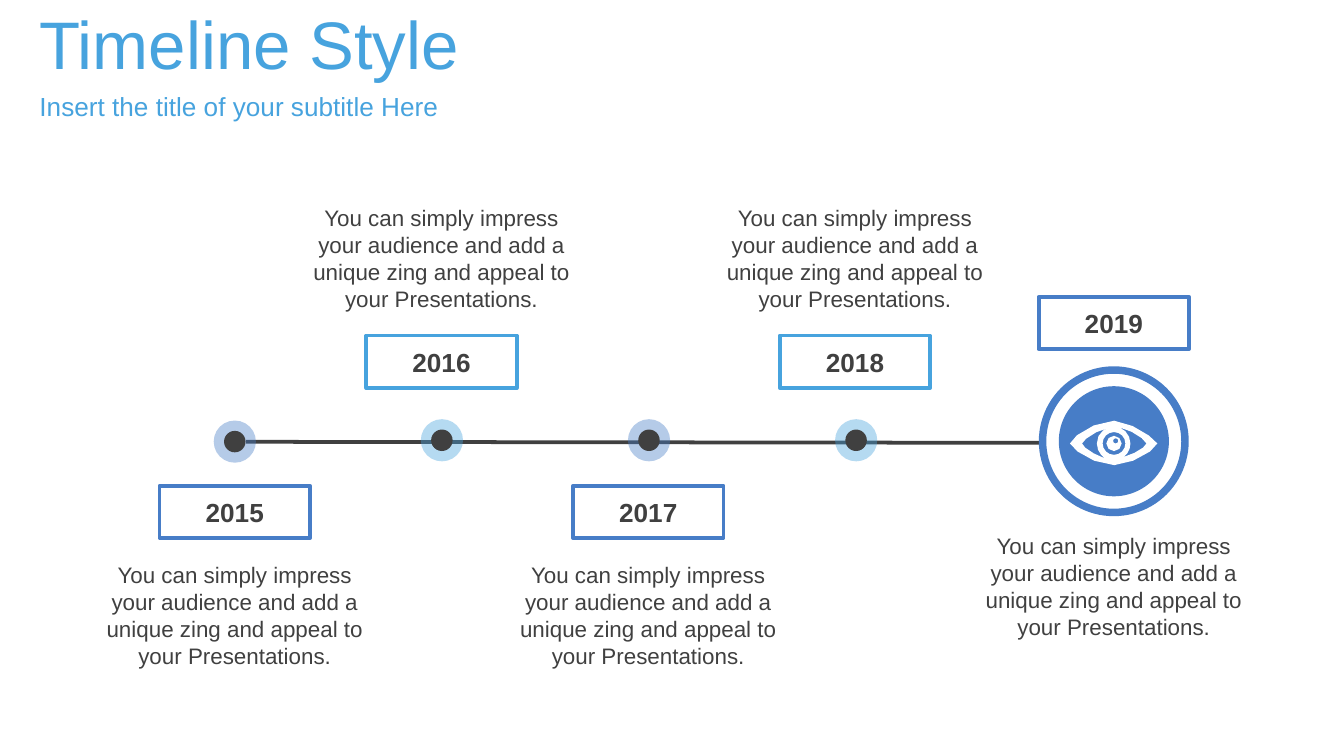
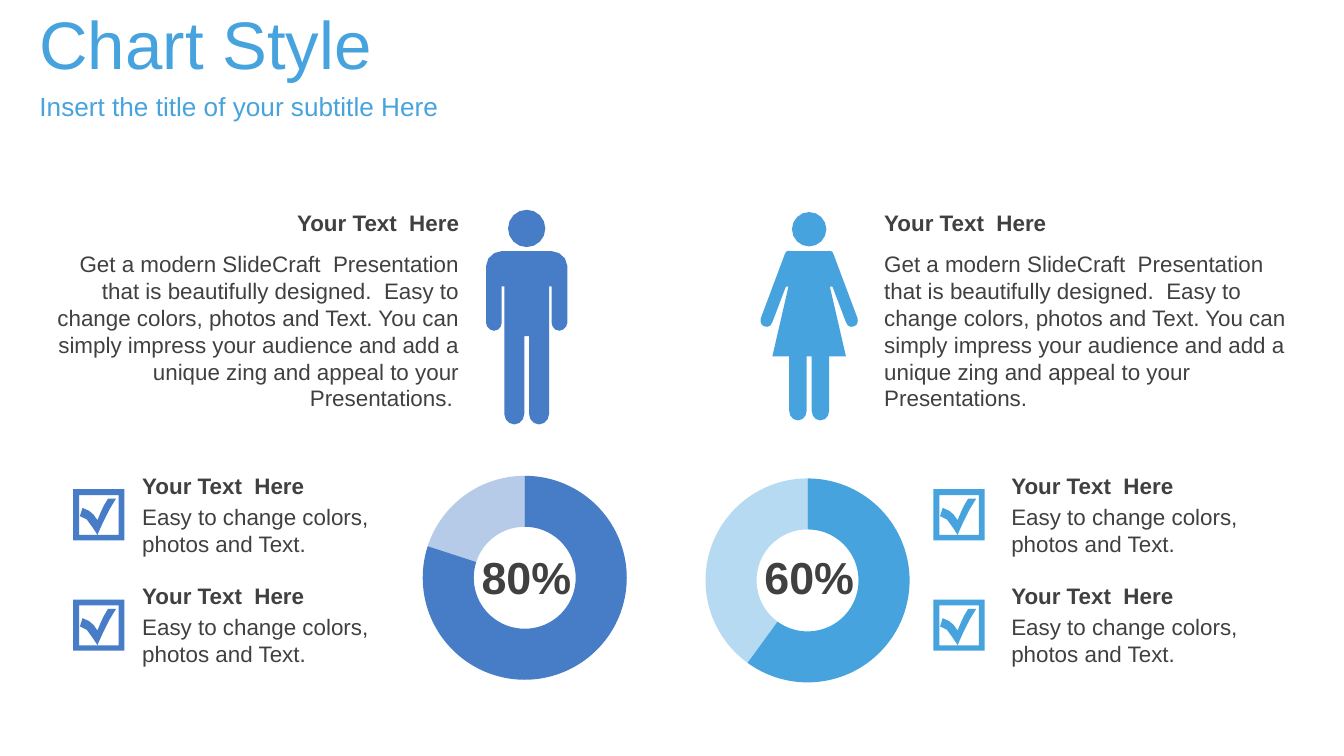
from pptx import Presentation
from pptx.chart.data import CategoryChartData
from pptx.dml.color import RGBColor
from pptx.enum.chart import XL_CHART_TYPE
from pptx.enum.shapes import MSO_CONNECTOR, MSO_SHAPE
from pptx.enum.text import MSO_ANCHOR, PP_ALIGN
from pptx.oxml import parse_xml
from pptx.oxml.ns import nsdecls, qn
from pptx.util import Pt
from lxml import etree
from math import cos, pi, sin

COLORS = {"blue": "477DC7", "sky": "47A3DE", "dark": "404040", "white": "FFFFFF"}
RGB = {name: RGBColor.from_string(code) for name, code in COLORS.items()}
FONT = "Arial"
SIDES = {"left": PP_ALIGN.LEFT, "center": PP_ALIGN.CENTER, "right": PP_ALIGN.RIGHT}

deck = Presentation()
deck.slide_width, deck.slide_height = Pt(720), Pt(405)


def put(slide, text, x, y, w, h, size=12, color="dark", bold=False,
        align="left", middle=False, edge=None):
    area = Pt(x), Pt(y), Pt(w), Pt(h)
    if edge:
        box = slide.shapes.add_shape(MSO_SHAPE.RECTANGLE, *area)
        box.shadow.inherit = False
        box.fill.background()
        box.line.color.rgb = RGB[edge]
        box.line.width = Pt(2)
    else:
        box = slide.shapes.add_textbox(*area)
    frame = box.text_frame
    frame.word_wrap = True
    frame.vertical_anchor = MSO_ANCHOR.MIDDLE if middle else MSO_ANCHOR.TOP
    para = frame.paragraphs[0]
    para.text = text
    para.alignment = SIDES[align]
    para.font.name, para.font.size, para.font.bold = FONT, Pt(size), bold
    para.font.color.rgb = RGB[color]


def trace(slide, art, x, y, color, width=None):
    loops = []
    for part in art:
        marks = part.split()
        nums = [float(n) for n in marks if n not in "MLCO"]
        if marks[0] == "O":
            cx, cy, r = nums
            count = 16 if r > 5 else 8
            loops.append([(cx + r * cos(2 * pi * t / count), cy + r * sin(2 * pi * t / count))
                          for t in range(count)])
            continue
        pts, i = [], 0
        for mark in [m for m in marks if m in "MLC"]:
            if mark == "C":
                a, b, c, d = pts[-1], nums[i:i + 2], nums[i + 2:i + 4], nums[i + 4:i + 6]
                for t in (1 / 3, 2 / 3, 1):
                    u = 1 - t
                    pts.append(tuple(u**3 * a[k] + 3 * u * u * t * b[k]
                                     + 3 * u * t * t * c[k] + t**3 * d[k] for k in (0, 1)))
                i += 6
            else:
                pts.append((nums[i], nums[i + 1]))
                i += 2
        if width:
            pts += [(width - px, py) for px, py in reversed(pts)]
        loops.append(pts)
    pen = None
    for pts in loops:
        pts = [(Pt(x + px), Pt(y + py)) for px, py in pts]
        if pen is None:
            pen = slide.shapes.build_freeform(*pts[0], scale=1.0)
        else:
            pen.move_to(*pts[0])
        pen.add_line_segments(pts[1:], close=True)
    shape = pen.convert_to_shape()
    shape.shadow.inherit = False
    shape.fill.solid()
    shape.fill.fore_color.rgb = RGB[color]
    shape.line.fill.background()


EYE = [
    "M 23.7 0 C 33.1 0.7 45.4 9.4 46.8 12.2 C 46.8 15.1 33.1 23.8 23.7 23.8 "
    "C 13 23.8 0.7 15.1 0 12.2 C 0 9.4 13 0 23.7 0",
    "M 21.6 3.6 C 13.7 5 6.5 10.8 6.5 12.2 C 6.5 13.7 12.2 18 18.7 20.2 "
    "C 16.6 18.7 14.4 15.8 14.4 12.2 C 14.4 7.9 17.3 4.3 21.6 3.6",
    "M 26.6 3.6 C 30.2 5 32.4 8.6 32.4 12.2 C 32.4 15.1 31 18 28.8 19.4 "
    "C 34.6 18 41 13.7 41 12.2 C 40.3 10 33.1 5 26.6 3.6",
    "O 23.6 12.2 6.1", "O 23.6 12.2 4.1", "O 24.5 10.8 1.4",
]
MAN = [
    "M 8.6 22.1 C 4.3 22.1 0 25.7 0 30.2 L 0 60.5 C 0 62.6 2.2 64.8 4.3 64.8 "
    "C 6.8 64.8 8.4 62.6 8.4 60.5 L 8.4 41 L 9.8 41 L 9.8 109.4 C 9.8 112.3 12.2 115 15.2 115 "
    "C 18.2 115 20.5 112.3 20.5 109.4 L 20.5 67.7",
    "O 21.8 10 10",
]
WOMAN = [
    "M 17.3 20.9 C 14 20.9 14 20.2 13 23 L 0.3 56.9 C 0 58.3 0 60.5 2 61.2 "
    "C 4 62 5.8 61.2 6.5 59 L 13.7 40 L 15.1 40 L 6.5 77.3 L 15.5 77.3 L 15.5 106.6 "
    "C 15.5 109.4 17.6 111.6 20.2 111.6 C 22.8 111.6 24.8 109.4 24.8 106.6 L 24.8 77.3",
    "O 26.2 9.2 9.2",
]
CHECK = [
    "M 0 0 L 27.4 0 L 27.4 27.4 L 0 27.4",
    "M 3.2 3.2 L 24.4 3.2 L 24.4 24.5 L 3.2 24.5",
    "M 3.6 14.4 C 7.9 14.4 10.1 20.9 13 24.4 C 15.8 18 19.4 10 23 5 L 18.7 5 "
    "C 15.8 9.4 15.1 11.5 13 16.6 C 10.8 13 9.4 11.5 5 10",
]

slides = []
for title in ("Timeline Style", "Chart Style"):
    slide = deck.slides.add_slide(deck.slide_layouts[6])
    put(slide, title, 14.1, 0, 561.6, 45.4, size=36, color="sky", middle=True)
    put(slide, "Insert the title of your subtitle Here", 14.1, 45.4, 561.6, 22.3,
        size=14, color="sky", middle=True)
    slides.append(slide)
time, stats = slides

AXIS, END = 236.2, 596.7
line = time.shapes.add_connector(MSO_CONNECTOR.STRAIGHT, Pt(131.8), Pt(236.7), Pt(602.6), Pt(237.3))
line.line.color.rgb = RGB["dark"]
line.line.width = Pt(2)
etree.SubElement(line._element.spPr, qn("a:effectLst"))

discs = [(END, AXIS + 0.2, 76.3, "white", None, "blue"),
         (END, AXIS + 0.2, 59, "blue", None, None)]
stops = []
for i in range(4):
    mid, tone = 125.8 + 110.95 * i, ("blue", "sky")[i % 2]
    level = AXIS if i else 236.9
    discs += [(mid, level - 0.3, 22.6, tone, 40000, None),
              (mid, level - 0.3, 11.5, "dark", None, None)]
    box, note = ((260.2, 297.1), (179.8, 105.8))[i % 2]
    stops.append((125.8 + 110.75 * i, tone, box, note))
stops.append((END, "blue", 159, 281.7))

for mid, level, wide, fill, alpha, edge in discs:
    disc = time.shapes.add_shape(MSO_SHAPE.OVAL, Pt(mid - wide / 2), Pt(level - wide / 2),
                                 Pt(wide), Pt(wide))
    disc.shadow.inherit = False
    disc.fill.solid()
    disc.fill.fore_color.rgb = RGB[fill]
    if alpha:
        tint = disc._element.spPr.find(".//" + qn("a:srgbClr"))
        etree.SubElement(tint, qn("a:alpha"), val=str(alpha))
    if edge:
        disc.line.color.rgb = RGB[edge]
        disc.line.width = Pt(4)
    else:
        disc.line.fill.background()

for year, (mid, tone, box, note) in enumerate(stops, 2015):
    put(time, str(year), mid - 40.3, box, 80.6, 28.1, size=14, bold=True,
        align="center", middle=True, edge=tone)
    put(time, "You can simply impress your audience and add a unique zing and appeal "
        "to your Presentations.", mid - 81, note, 162, 65.5, align="center")
trace(time, EYE, 573.2, 225.4, "white")

HEAD = "Your Text  Here"
STORY = ("Get a modern SlideCraft  Presentation that is beautifully designed.  Easy to change "
         "colors, photos and Text. You can simply impress your audience and add a unique zing "
         "and appeal to your Presentations.")
halves = [
    ("blue", 80, 221.5, 254.9, 250.3, 22, "right", 39.2, 69.1, MAN, 260.4, 112.4, 43.6,
     STORY + " "),
    ("sky", 60, 373, 256.3, 401.8, 466.6, "left", 500, 534.7, WOMAN, 407.3, 113.6, 52.4,
     STORY),
]
for (tone, share, left, top, rate, story, side, tick, note,
     body, bx, by, wide, words) in halves:
    data = CategoryChartData()
    data.categories = ["1", "2"]
    data.add_series("Series 1", (share, 100 - share))
    chart = stats.shapes.add_chart(XL_CHART_TYPE.DOUGHNUT, Pt(left), Pt(top), Pt(121.7),
                                   Pt(109.4), data).chart
    chart.has_legend = chart.has_title = False
    chart.font.name, chart.font.size = FONT, Pt(18)
    chart.font.color.rgb = RGBColor(0, 0, 0)
    plot = chart.plots[0]
    plot.vary_by_categories = True
    ring = plot.series[0]
    for i in range(2):
        fill = ring.points[i].format.fill
        fill.solid()
        fill.fore_color.rgb = RGB[tone]
    tint = ring._element.findall(".//" + qn("a:srgbClr"))[-1]
    etree.SubElement(tint, qn("a:alpha"), val="40000")
    root = chart._chartSpace
    root.find(".//" + qn("c:holeSize")).set("val", "80")
    area = root.find(".//" + qn("c:plotArea"))
    for old in area.findall(qn("c:layout")):
        area.remove(old)
    area.insert(0, parse_xml(
        f'<c:layout {nsdecls("c")}><c:manualLayout><c:layoutTarget val="inner"/>'
        '<c:xMode val="edge"/><c:yMode val="edge"/><c:x val="0.04"/><c:y val="0"/>'
        '<c:w val="0.9"/><c:h val="1"/></c:manualLayout></c:layout>'))

    put(stats, f"{share}%", rate, 290.9, 63.4, 36, size=24, bold=True,
        align="center", middle=True)
    trace(stats, body, bx, by, tone, width=wide)
    put(stats, HEAD, story, 108.7, 231.1, 21.6, bold=True, align=side)
    put(stats, words, story, 130.5, 231.1, 94.3, align=side)
    for row in range(2):
        drop = 59.1 * row
        trace(stats, CHECK, tick, 262.1 + drop, tone)
        put(stats, HEAD, note, 249.4 + drop, 141.1, 21.6, bold=True)
        put(stats, "Easy to change colors, photos and Text.", note, 265.9 + drop, 141.1, 36)

deck.save("out.pptx")
